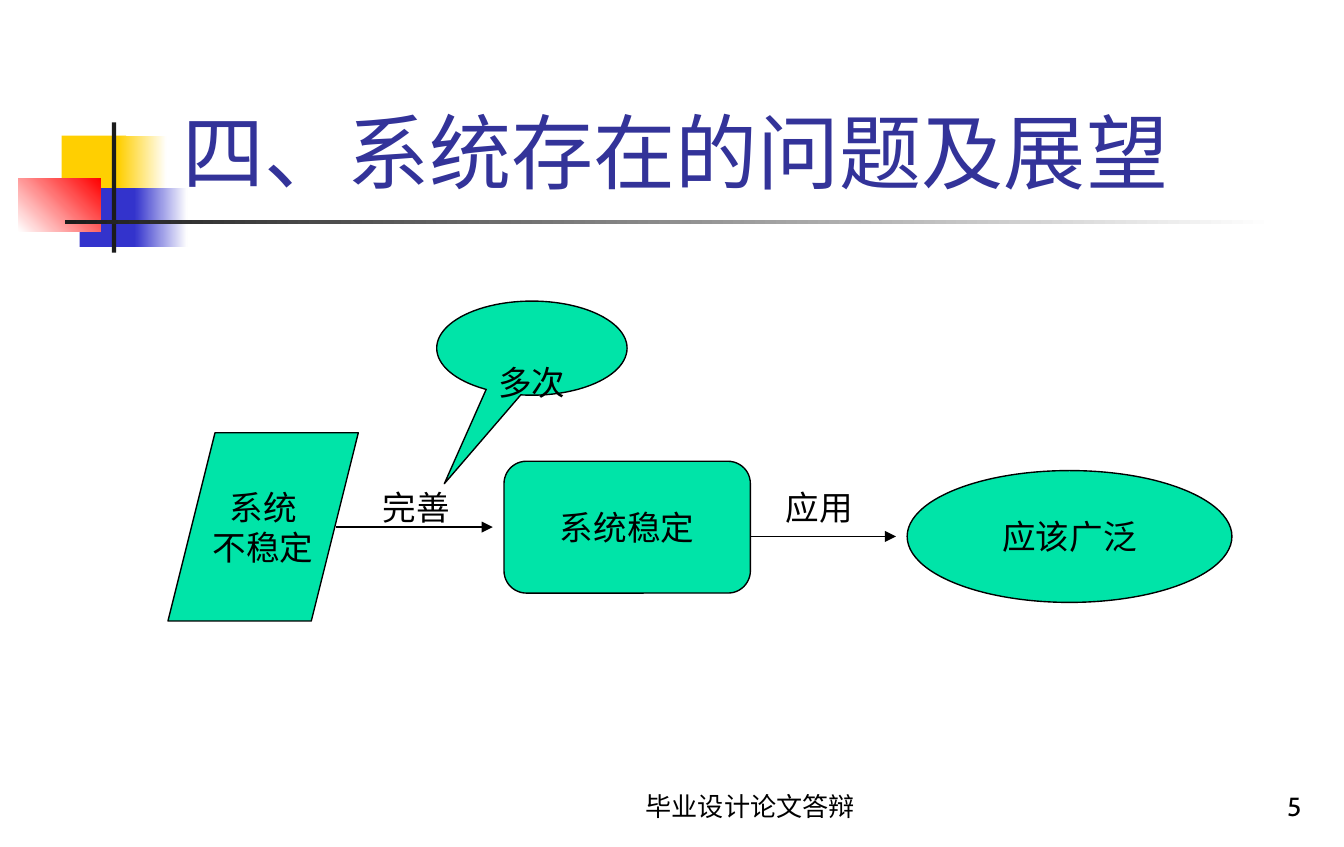
from lxml.etree import SubElement
from pptx import Presentation
from pptx.dml.color import RGBColor
from pptx.enum.shapes import MSO_CONNECTOR, MSO_SHAPE
from pptx.enum.text import MSO_ANCHOR, MSO_AUTO_SIZE, PP_ALIGN
from pptx.oxml.ns import qn
from pptx.util import Pt

BLACK = RGBColor(0x00, 0x00, 0x00)
WHITE = RGBColor(0xFF, 0xFF, 0xFF)
CHARCOAL = RGBColor(0x1C, 0x1C, 0x1C)
YELLOW = RGBColor(0xFF, 0xCF, 0x01)
BLUE = RGBColor(0x33, 0x33, 0xCC)
RED = RGBColor(0xFF, 0x00, 0x00)
TITLE_BLUE = RGBColor(0x33, 0x33, 0x99)
GREEN = RGBColor(0x00, 0xE4, 0xA8)


class SlideBuilder:
    font_name = "Cabin"
    body_size = 18
    line_width = 0.75

    def __init__(self, slide):
        self.slide = slide

    def set_text(self, shape, text, size, color, alignment, anchor, wrap=True):
        frame = shape.text_frame
        frame.text = text
        frame.word_wrap = wrap
        frame.auto_size = MSO_AUTO_SIZE.NONE
        frame.vertical_anchor = anchor
        for paragraph in frame.paragraphs:
            paragraph.alignment = alignment
            paragraph.font.name = self.font_name
            paragraph.font.size = Pt(size)
            paragraph.font.color.rgb = color

    def title(self, text, left, top, width, height):
        shape = self.slide.shapes.title
        shape.left, shape.top = Pt(left), Pt(top)
        shape.width, shape.height = Pt(width), Pt(height)
        self.set_text(shape, text, 44, TITLE_BLUE, PP_ALIGN.LEFT, MSO_ANCHOR.BOTTOM)

    def label(self, text, left, top, width, height, size=body_size,
              alignment=PP_ALIGN.LEFT, anchor=MSO_ANCHOR.TOP):
        shape = self.slide.shapes.add_textbox(Pt(left), Pt(top), Pt(width), Pt(height))
        self.set_text(shape, text, size, BLACK, alignment, anchor)

    def shape(self, kind, left, top, width, height):
        shape = self.slide.shapes.add_shape(kind, Pt(left), Pt(top), Pt(width), Pt(height))
        shape.shadow.inherit = False
        return shape

    def bar(self, left, top, width, height, start, end=None, angle=0):
        shape = self.shape(MSO_SHAPE.RECTANGLE, left, top, width, height)
        shape.line.fill.background()
        if end is None:
            shape.fill.solid()
            shape.fill.fore_color.rgb = start
            return
        shape.fill.gradient()
        shape.fill.gradient_angle = angle
        for stop, color in zip(shape.fill.gradient_stops, (start, end)):
            stop.color.rgb = color

    def node(self, kind, text, left, top, width, height, adjustments=(),
             anchor=MSO_ANCHOR.MIDDLE, wrap=False):
        shape = self.shape(kind, left, top, width, height)
        for index, value in enumerate(adjustments):
            shape.adjustments[index] = value
        shape.fill.solid()
        shape.fill.fore_color.rgb = GREEN
        shape.line.color.rgb = BLACK
        shape.line.width = Pt(self.line_width)
        self.set_text(shape, text, self.body_size, BLACK, PP_ALIGN.CENTER, anchor, wrap)
        return shape

    def arrow(self, left, right, y):
        connector = self.slide.shapes.add_connector(
            MSO_CONNECTOR.STRAIGHT, Pt(left), Pt(y), Pt(right), Pt(y))
        connector.line.color.rgb = BLACK
        connector.line.width = Pt(self.line_width)
        properties = connector._element.spPr
        SubElement(properties.find(qn("a:ln")), qn("a:tailEnd"), type="triangle")
        SubElement(properties, qn("a:effectLst"))


def main():
    presentation = Presentation()
    presentation.slide_width = Pt(720)
    presentation.slide_height = Pt(453.6)
    builder = SlideBuilder(presentation.slides.add_slide(presentation.slide_layouts[5]))

    builder.bar(33, 72.7, 34.6, 31.7, YELLOW)
    builder.bar(63.4, 72.7, 25.9, 31.7, YELLOW, WHITE)
    builder.bar(42.7, 100.8, 33, 31.5, BLUE)
    builder.bar(72, 100.8, 28.5, 31.5, BLUE, WHITE)
    builder.bar(9.8, 95.5, 44.2, 28.5, WHITE, RED, 45)
    builder.bar(59.9, 65.5, 2.3, 69.8, CHARCOAL)
    builder.bar(34.8, 117.9, 648, 2.2, CHARCOAL, WHITE)

    builder.title("四、系统存在的问题及展望", 90.7, 14.4, 613.4, 96.5)
    builder.label("毕业设计论文答辩", 288, 413.3, 228, 30.2, 14,
                  PP_ALIGN.CENTER, MSO_ANCHOR.BOTTOM)
    builder.label("5", 554.4, 413.3, 149.8, 30.2, 14,
                  PP_ALIGN.RIGHT, MSO_ANCHOR.BOTTOM)

    builder.arrow(180, 264, 282.3)
    builder.arrow(396, 480, 287.3)
    builder.node(MSO_SHAPE.OVAL, "应该广泛", 486, 252, 174, 70.6)
    builder.node(MSO_SHAPE.PARALLELOGRAM, "系统\n不稳定", 90, 231.8, 102, 100.8, [0.25])
    builder.node(MSO_SHAPE.ROUNDED_RECTANGLE, "系统稳定", 270, 247, 132, 70.6, [0.17])
    for text, left in (("完善", 198), ("应用", 414)):
        builder.label(text, left, 257, 66, 28.8)
    callout = builder.node(MSO_SHAPE.OVAL_CALLOUT, "多次", 234, 161.3, 102, 50.4,
                           [-0.46, 1.44], MSO_ANCHOR.TOP, True)
    callout.text_frame.margin_top = Pt(25.2)
    callout.text_frame.margin_bottom = Pt(0)

    presentation.save("out.pptx")


if __name__ == "__main__":
    main()
